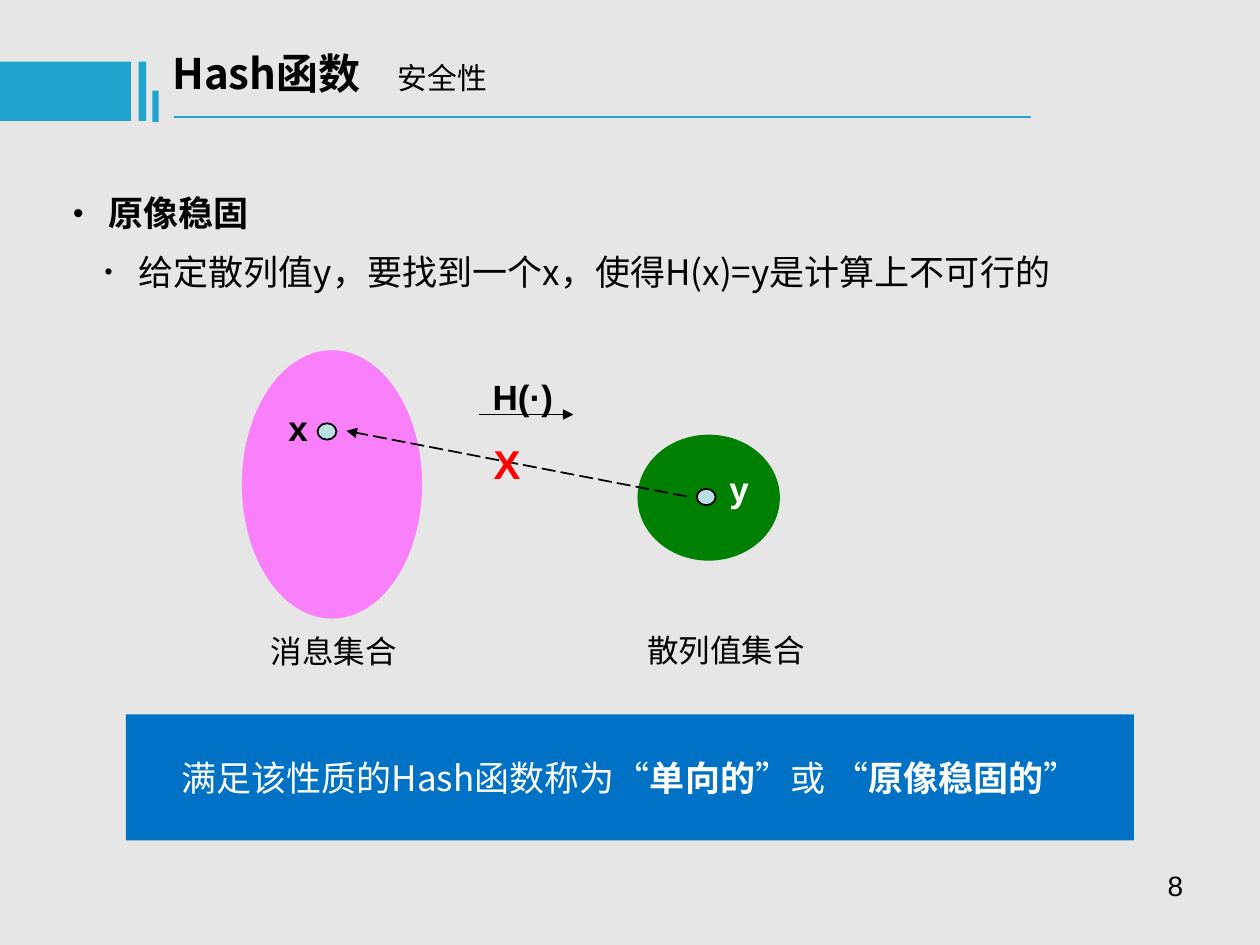
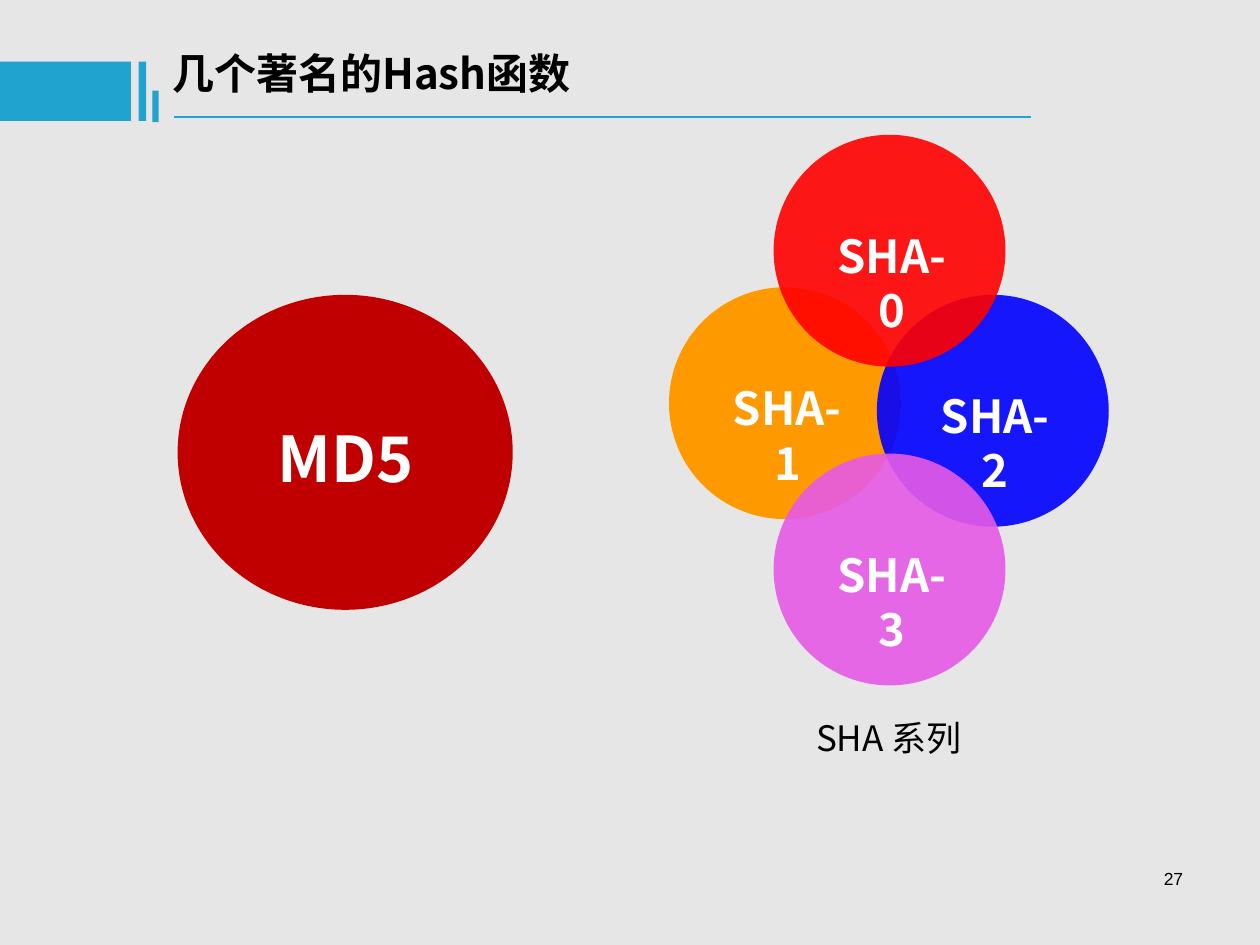
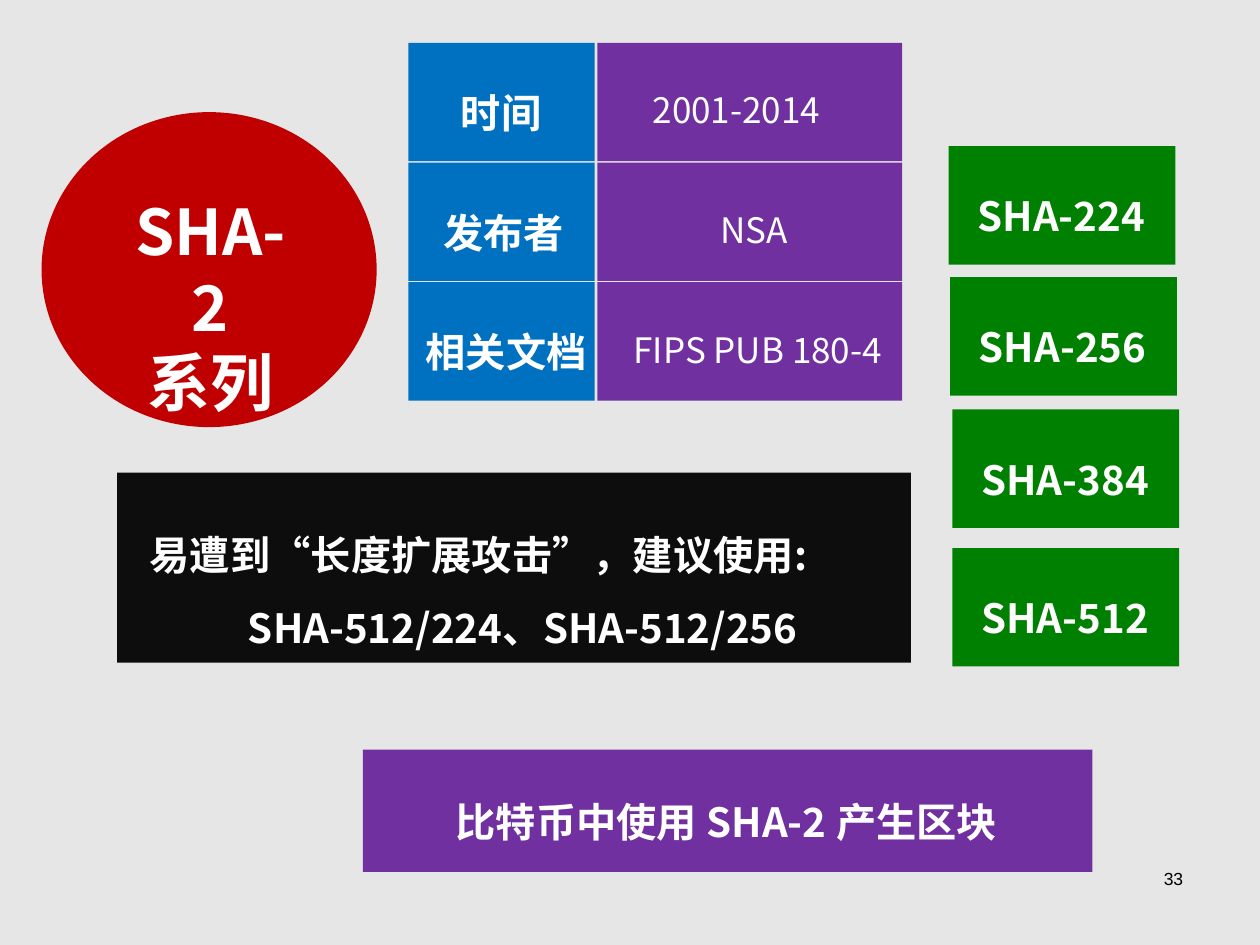
from lxml import etree
from pptx import Presentation
from pptx.dml.color import RGBColor
from pptx.enum.dml import MSO_LINE
from pptx.enum.shapes import MSO_CONNECTOR, MSO_SHAPE
from pptx.enum.text import MSO_ANCHOR, PP_ALIGN
from pptx.oxml.ns import qn
from pptx.util import Inches, Pt

OVAL, RECT = MSO_SHAPE.OVAL, MSO_SHAPE.RECTANGLE
STRAIGHT = MSO_CONNECTOR.STRAIGHT
LONG_DASH = MSO_LINE.LONG_DASH
LEFT, CENTER, RIGHT = PP_ALIGN.LEFT, PP_ALIGN.CENTER, PP_ALIGN.RIGHT
TOP, MIDDLE = MSO_ANCHOR.TOP, MSO_ANCHOR.MIDDLE

# The slide is a grid of 100 columns by 75 rows
WIDTH, HEIGHT = Inches(10), Inches(7.5)
COLUMN, ROW = WIDTH / 100, HEIGHT / 75

# Shared fonts and colours
SANS, LATIN = "Noto Sans CJK SC", "Arial"
GREY, BLACK, WHITE = "E7E6E6", "000000", "FFFFFF"
ACCENT, BLUE, CELL_BLUE = "21A3D0", "0072C6", "0070C0"
GREEN, PURPLE, CRIMSON, RED = "008000", "7030A0", "C00000", "FF0000"
DOT, INK = "BBE0E3", "0D0D0D"

TITLE = {"size": 24, "bold": True}
BODY = {"size": 20}
CAPTION = {"size": 18}
SYMBOL = {"size": 20, "bold": True, "name": LATIN}
BIG = {"size": 36, "bold": True, "color": WHITE}
MEMBER = {"size": 26, "bold": True, "color": WHITE}
STRONG = {"size": 23, "bold": True, "color": WHITE}
VALUE = {"size": 20, "color": WHITE}


def color(hex_string):
    return RGBColor.from_string(hex_string)


def place(left, top, width, height):
    return [round(n) for n in (left * COLUMN, top * ROW, width * COLUMN, height * ROW)]


def add_span(para, text, style):
    span = para.add_run()
    span.text = text
    values = {"name": SANS, "size": 20, "bold": False, "color": BLACK, **style}
    span.font.color.rgb = color(values.pop("color"))
    values["size"] = Pt(values["size"])
    for name, value in values.items():
        setattr(span.font, name, value)
    east_asian = etree.SubElement(span.font._element, qn("a:ea"))
    east_asian.set("typeface", values["name"])


def write(shape, paragraphs, style, align=LEFT, wrap=True, spacing=1.0,
          anchor=TOP, inset=(1, 0.5)):
    """Each paragraph is a string or a list of (text, changed style) spans."""
    frame = shape.text_frame
    side, edge = round(inset[0] * COLUMN), round(inset[1] * ROW)
    settings = {"word_wrap": wrap, "vertical_anchor": anchor, "margin_left": side,
                "margin_right": side, "margin_top": edge, "margin_bottom": edge}
    for name, value in settings.items():
        setattr(frame, name, value)
    for index, spans in enumerate(paragraphs):
        para = frame.add_paragraph() if index else frame.paragraphs[0]
        para.alignment, para.line_spacing = align, spacing
        for text, changes in [(spans, {})] if isinstance(spans, str) else spans:
            add_span(para, text, {**style, **changes})
    return frame


def add_text(page, area, paragraphs, style, **layout):
    box = page.shapes.add_textbox(*place(*area))
    return write(box, paragraphs, style, **layout)


def add_block(page, kind, area, fill, opacity=100, outline=None):
    shape = page.shapes.add_shape(kind, *place(*area))
    shape.shadow.inherit = False
    shape.fill.solid()
    shape.fill.fore_color.rgb = color(fill)
    if opacity < 100:
        tint = shape._element.spPr.find(".//" + qn("a:srgbClr"))
        etree.SubElement(tint, qn("a:alpha")).set("val", str(opacity * 1000))
    if outline:
        shape.line.color.rgb = color(outline)
        shape.line.width = Pt(1)
    else:
        shape.line.fill.background()
    return shape


def add_line(page, start, end, stroke=BLACK, width=1, dash=None, arrow=False):
    ends = place(*start, *end)
    line = page.shapes.add_connector(STRAIGHT, *ends)
    line.line.color.rgb = color(stroke)
    line.line.width = Pt(width)
    if dash:
        line.line.dash_style = dash
    if arrow:
        outline = line.line._get_or_add_ln()
        etree.SubElement(outline, qn("a:tailEnd")).set("type", "triangle")
    etree.SubElement(line._element.spPr, qn("a:effectLst"))


def add_bullet(para, indent, hanging, percent):
    properties = para._p.get_or_add_pPr()
    properties.set("marL", str(round(indent * COLUMN)))
    properties.set("indent", str(round(-hanging * COLUMN)))
    for tag, name, value in (("a:buSzPct", "val", str(percent * 1000)),
                             ("a:buFont", "typeface", LATIN),
                             ("a:buChar", "char", "•")):
        etree.SubElement(properties, qn(tag)).set(name, value)


def add_tab(para, position):
    stops = etree.SubElement(para._p.get_or_add_pPr(), qn("a:tabLst"))
    stop = etree.SubElement(stops, qn("a:tab"))
    stop.set("pos", str(round(position * COLUMN)))
    stop.set("algn", "l")


def new_page(deck, number, number_size=10):
    page = deck.slides.add_slide(deck.slide_layouts[6])
    add_text(page, (71.7, 68.3, 23.3, 5.2), [number],
             {"size": number_size, "name": LATIN}, align=RIGHT, inset=(1.1, 0.6))
    return page


def add_header(page, spans):
    frame = add_text(page, (12.7, 3.3, 68.4, 5), [spans], TITLE)
    for area in ((0, 4.9, 10.4, 4.7), (11, 4.9, 0.6, 4.7), (12.1, 7.2, 0.5, 2.5)):
        add_block(page, RECT, area, ACCENT)
    add_line(page, (13.8, 9.3), (81.8, 9.3), ACCENT, 1.5)
    return frame


def preimage_page(deck):
    page = new_page(deck, "8", 16)
    header = add_header(page, [("Hash函数\t", {}), ("安全性", {"size": 17, "bold": False})])
    add_tab(header.paragraphs[0], 17.9)

    # Definition
    points = add_text(page, (4.7, 13.3, 90, 10.8),
                      [[("原像稳固", {"bold": True})],
                       "给定散列值y，要找到一个x，使得H(x)=y是计算上不可行的"],
                      BODY, spacing=1.4, inset=(1.1, 0.6))
    for para, bullet in zip(points.paragraphs, ((2.8, 2.8, 85), (5.2, 2.7, 65))):
        add_bullet(para, *bullet)

    # Message set and hash value set
    add_block(page, OVAL, (19.2, 27.8, 14.3, 21.3), "FF66FF", opacity=80)
    add_block(page, OVAL, (50.6, 34.5, 11.3, 10), GREEN)
    for left, top in ((25.2, 33.6), (55.3, 38.8)):
        add_block(page, OVAL, (left, top, 1.5, 1.3), DOT, outline=BLACK)
    for area, text, style in (
            ((20.5, 49.7, 12, 4), "消息集合", CAPTION),
            ((49.9, 49.6, 15.4, 4), "散列值集合", CAPTION),
            ((38.1, 29.3, 6.8, 4.4), "H(·)", SYMBOL),
            ((21.9, 31.8, 3.5, 4.4), "x", SYMBOL),
            ((56.9, 36.6, 3.5, 4.4), "y", {**SYMBOL, "color": WHITE})):
        add_text(page, area, [text], style, align=CENTER, wrap=False)
    add_line(page, (38, 32.9), (45.5, 32.9), arrow=True)
    add_line(page, (54.5, 39.4), (27.5, 34.2), dash=LONG_DASH, arrow=True)
    add_text(page, (38.2, 34.4, 4.1, 4.9), ["X"],
             {**SYMBOL, "size": 23, "color": RED}, align=CENTER, wrap=False)

    # Conclusion
    banner = add_block(page, RECT, (10, 56.7, 80, 10), BLUE)
    strong = {"bold": True}
    write(banner, [[("满足该性质的Hash函数称为“", {}), ("单向的", strong), ("”或 “", {}),
                    ("原像稳固的", strong), ("”", {})]],
          VALUE, align=CENTER, wrap=False, anchor=MIDDLE)


def family_page(deck):
    page = new_page(deck, "27")
    add_header(page, "几个著名的Hash函数")

    add_block(page, OVAL, (14.1, 23.4, 26.6, 25), CRIMSON)
    add_text(page, (20.8, 32.8, 13.3, 7), ["MD5"], BIG, align=CENTER, wrap=False)

    # Overlapping SHA circles
    for name, left, top, fill, opacity in (
            ("SHA-1", 53.1, 22.8, "FF9900", 100), ("SHA-2", 69.6, 23.4, "0000FF", 90),
            ("SHA-0", 61.4, 10.7, RED, 90), ("SHA-3", 61.4, 36, "E65AE6", 90)):
        add_block(page, OVAL, (left, top, 18.4, 18.4), fill, opacity)
        add_text(page, (left + 3.4, top + 6.9, 12, 5.4), [name], MEMBER, align=CENTER)
    add_text(page, (63.4, 56.4, 14.3, 4.4), ["SHA 系列"], BODY, align=CENTER, wrap=False)


def sha2_page(deck):
    page = new_page(deck, "33")
    add_block(page, OVAL, (3.3, 8.9, 26.6, 25), CRIMSON)
    add_text(page, (8.7, 14.8, 16, 13), ["SHA-2", "系列"], BIG, align=CENTER)

    # Variants
    for name, left, top in (("SHA-224", 75.3, 11.6), ("SHA-256", 75.4, 22),
                            ("SHA-384", 75.6, 32.5), ("SHA-512", 75.6, 43.5)):
        add_block(page, RECT, (left, top, 18, 9.4), GREEN)
        add_text(page, (left + 1.3, top + 1.2, 16.4, 6.8), [name], STRONG, spacing=1.5)

    # Use in practice
    add_block(page, RECT, (28.8, 59.5, 57.9, 9.7), PURPLE)
    add_text(page, (28.7, 60.9, 57.9, 6.8), ["比特币中使用 SHA-2 产生区块"],
             STRONG, align=CENTER, spacing=1.5)

    # Facts: key and value in rows of equal height
    facts = (("时间", 35.6, "2001-2014", 48, 20.9, CENTER),
             ("发布者", 34.2, "NSA", 49.3, 21.1, CENTER),
             ("相关文档", 32.8, "FIPS PUB 180-4", 49.3, 22.8, LEFT))
    for row, (key, key_left, value, value_left, value_width, align) in enumerate(facts):
        top = 3.4 + 9.5 * row
        add_block(page, RECT, (47.4, top, 24.2, 9.4), PURPLE)
        add_text(page, (value_left, top + 1.5, value_width, 6), [value], VALUE,
                 align=align, spacing=1.5)
        add_block(page, RECT, (32.4, top, 14.8, 9.4), CELL_BLUE)
        add_text(page, (key_left, top + 1.2, 14.8, 6.8), [key], STRONG, spacing=1.5)

    # Advice
    add_block(page, RECT, (9.3, 37.5, 63, 15.1), INK)
    advice = add_text(page, (10.9, 39.7, 61.2, 12.5),
                      ["易遭到“长度扩展攻击”，建议使用:", "SHA-512/224、SHA-512/256"],
                      STRONG, spacing=1.5)
    advice.paragraphs[1].alignment = CENTER


def main():
    deck = Presentation()
    deck.slide_width, deck.slide_height = WIDTH, HEIGHT
    backdrop = deck.slide_master.background.fill
    backdrop.solid()
    backdrop.fore_color.rgb = color(GREY)
    for build in (preimage_page, family_page, sha2_page):
        build(deck)
    deck.save("out.pptx")


if __name__ == "__main__":
    main()
